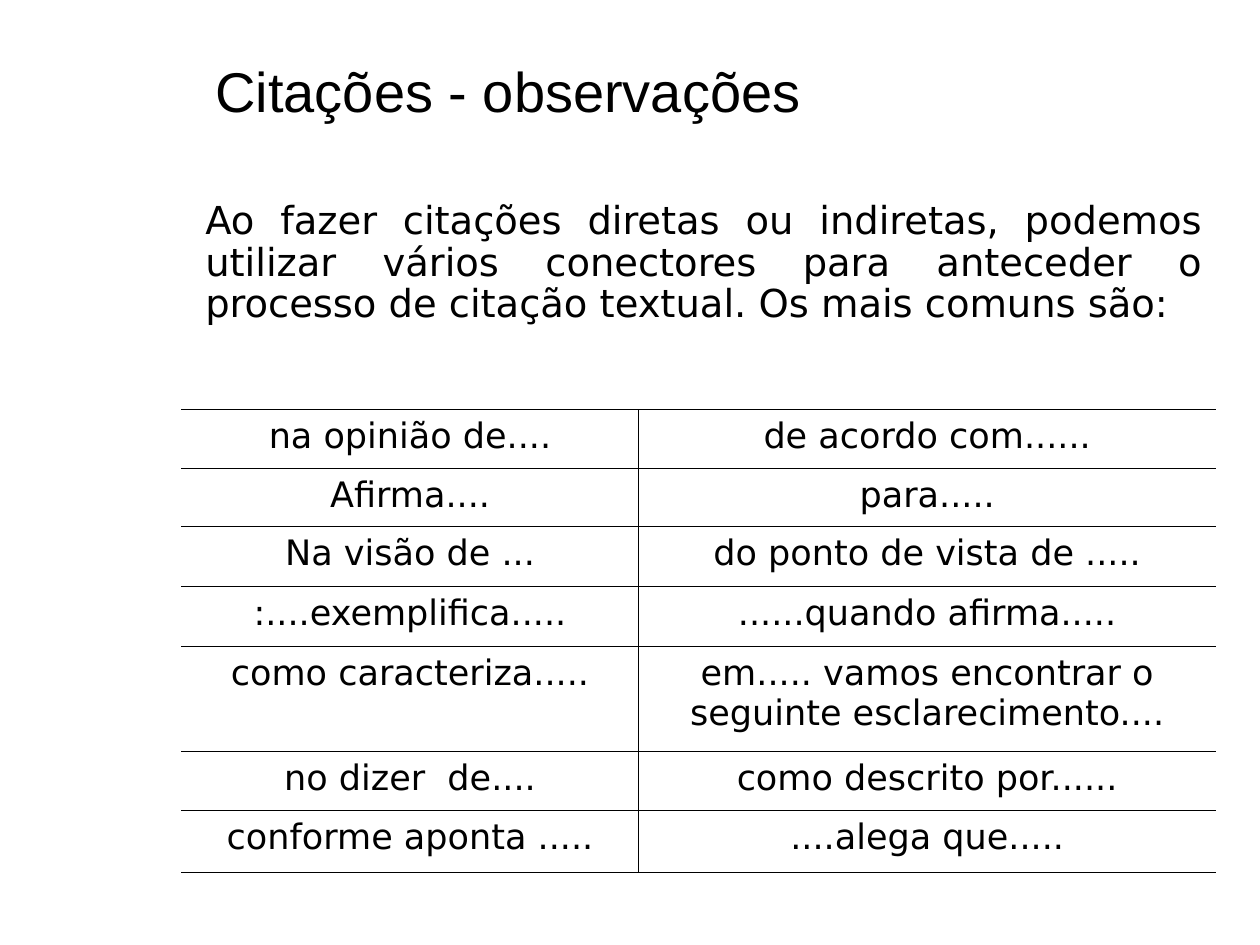
from lxml.etree import SubElement
from pptx import Presentation
from pptx.dml.color import RGBColor
from pptx.enum.text import MSO_ANCHOR, MSO_AUTO_SIZE, PP_ALIGN
from pptx.oxml.ns import qn
from pptx.util import Inches, Pt

CONNECTORS = [
    ("na opinião de....", "de acordo com......"),
    ("Afirma....", "para....."),
    ("Na visão de ...", "do ponto de vista de ....."),
    (":....exemplifica.....", "......quando afirma....."),
    ("como caracteriza.....", "em..... vamos encontrar o seguinte esclarecimento...."),
    ("no dizer  de....", "como descrito por......"),
    ("conforme aponta .....", "....alega que....."),
]


def color(value):
    return RGBColor.from_string(value)


def write(frame, text, size, font, ink, align=PP_ALIGN.LEFT, spacing=1.0):
    frame.word_wrap = True
    para = frame.paragraphs[0]
    para.alignment = align
    para.line_spacing = spacing
    para.space_before = Pt(0)
    span = para.add_run()
    span.text = text
    span.font.size = Pt(size)
    span.font.name = font
    span.font.color.rgb = color(ink)


def border(cell, side, ink=None, width=0.45):
    """Draw one cell edge (L, R, T or B); without ink the edge is hidden."""
    line = SubElement(cell._tc.get_or_add_tcPr(), qn(f"a:ln{side}"), w=str(Pt(width)))
    if ink:
        fill = SubElement(line, qn("a:solidFill"))
        SubElement(fill, qn("a:srgbClr"), val=ink)
    else:
        SubElement(line, qn("a:noFill"))


class Page:
    """Style and current slide; lengths are in a grid of 100 columns by 75 rows."""

    ink = "000000"
    paper = "FFFFFF"
    heading_font = "Arial"
    text_font = "DejaVu Sans"

    def __init__(self, deck):
        self.slide = deck.slides.add_slide(deck.slide_layouts[1])
        self.column = deck.slide_width / 100
        self.row = deck.slide_height / 75
        background = self.slide.background.fill
        background.solid()
        background.fore_color.rgb = color(self.paper)

    def area(self, left, top, width, height):
        return (round(left * self.column), round(top * self.row),
                round(width * self.column), round(height * self.row))

    def place(self, box, area, anchor):
        box.left, box.top, box.width, box.height = self.area(*area)
        box.text_frame.auto_size = MSO_AUTO_SIZE.NONE
        box.text_frame.vertical_anchor = anchor
        return box.text_frame

    def title(self, text, area):
        frame = self.place(self.slide.shapes.title, area, MSO_ANCHOR.MIDDLE)
        write(frame, text, 32, self.heading_font, self.ink)

    def body(self, text, area):
        frame = self.place(self.slide.placeholders[1], area, MSO_ANCHOR.TOP)
        properties = frame.paragraphs[0]._p.get_or_add_pPr()
        properties.set("marL", "0")
        properties.set("indent", "0")
        SubElement(properties, qn("a:buNone"))
        write(frame, text, 22, self.text_font, self.ink, PP_ALIGN.JUSTIFY, 0.9)

    def table(self, entries, left, top, widths, heights):
        area = self.area(left, top, sum(widths), sum(heights))
        table = self.slide.shapes.add_table(len(heights), len(widths), *area).table
        table.first_row = table.horz_banding = False
        for column, width in zip(table.columns, widths):
            column.width = round(width * self.column)
        for row, height, texts in zip(table.rows, heights, entries):
            row.height = round(height * self.row)
            for index, (cell, text) in enumerate(zip(row.cells, texts)):
                border(cell, "L", self.ink if index > 0 else None)
                border(cell, "R", self.ink if index < len(widths) - 1 else None)
                border(cell, "T", self.ink)
                border(cell, "B", self.ink)
                cell.fill.background()
                write(cell.text_frame, text, 20, self.text_font, self.ink,
                      PP_ALIGN.CENTER)


def main():
    deck = Presentation()
    deck.slide_width, deck.slide_height = Inches(10), Inches(7.5)
    page = Page(deck)
    page.title("Citações - observações", (16.1, 3.7, 80, 6.9))
    page.body("Ao fazer citações diretas ou indiretas, podemos utilizar vários "
              "conectores para anteceder o processo de citação textual. "
              "Os mais comuns são:", (15.3, 15.5, 81.1, 13.1))
    page.table(CONNECTORS, 14.4, 32.5, widths=(36.3, 45.8),
               heights=(4.7, 4.6, 4.75, 4.75, 8.35, 4.7, 4.9))
    deck.save("out.pptx")


if __name__ == "__main__":
    main()
